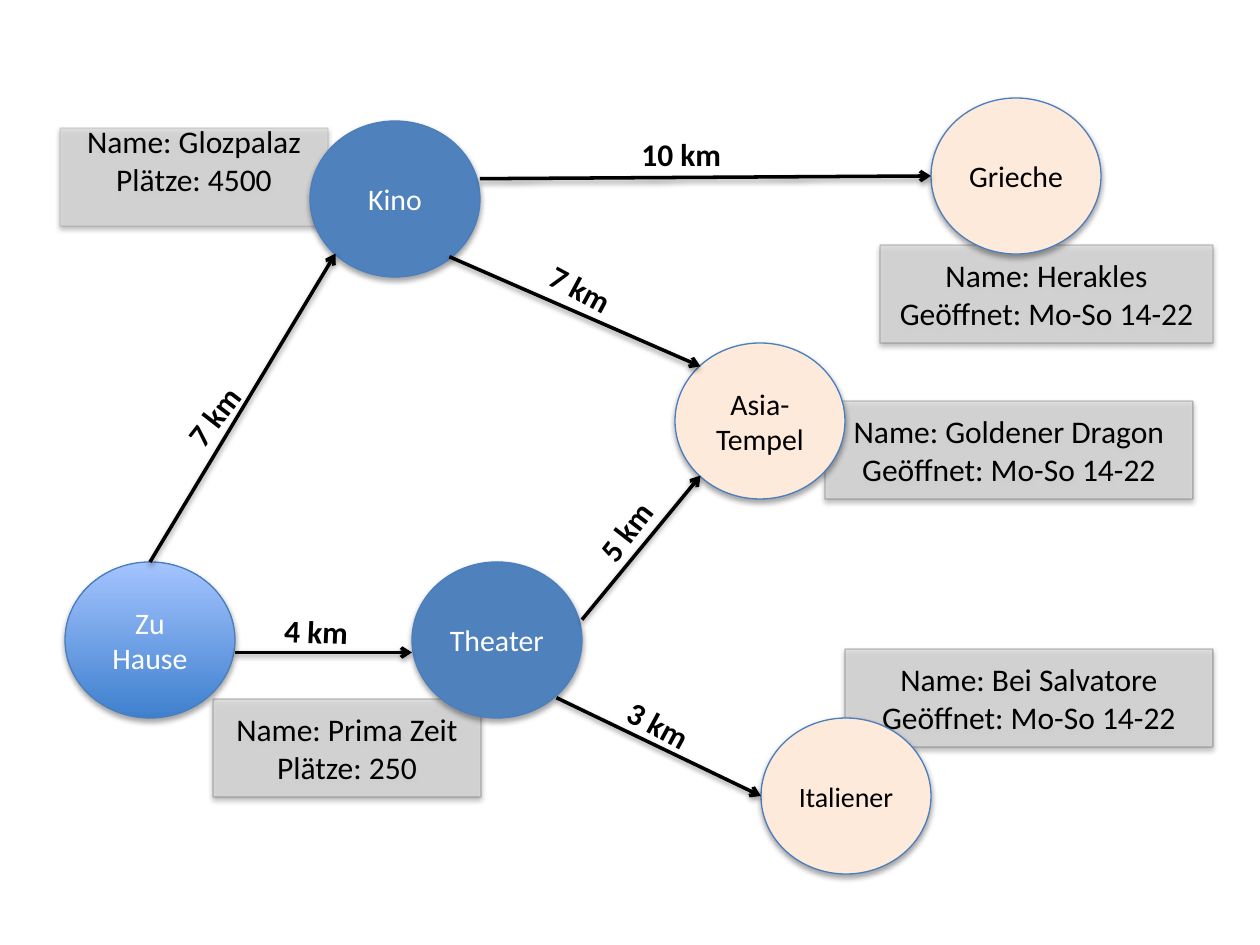
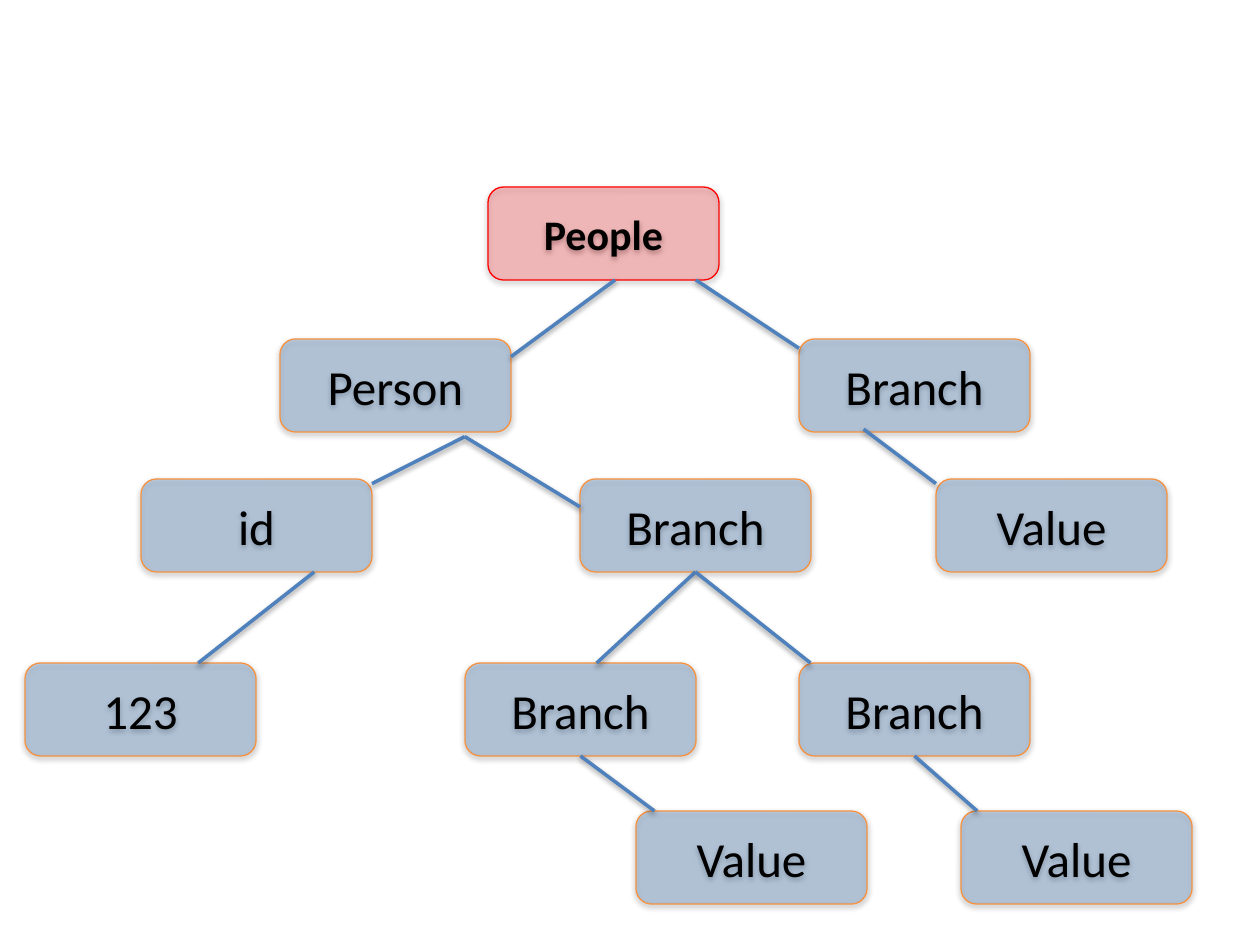
from dataclasses import dataclass

from lxml.etree import SubElement
from pptx import Presentation
from pptx.dml.color import RGBColor
from pptx.enum.shapes import MSO_CONNECTOR as Connector, MSO_SHAPE as Shape
from pptx.enum.text import MSO_ANCHOR as Anchor, PP_ALIGN as Align
from pptx.oxml.ns import qn
from pptx.util import Emu, Pt

PIXEL = 914400 / 126


@dataclass(frozen=True)
class Theme:
    font: str = "Calibri"
    black: str = "000000"
    white: str = "FFFFFF"
    blue: str = "4F81BD"
    blue_edge: str = "4B7EBC"
    home_bottom: str = "3F80CE"
    home_top: str = "A4C4FF"
    cream: str = "FDEADA"
    gray: str = "D9D9D9"
    red: str = "FF0000"
    orange: str = "F69240"
    small_size: float = 16
    place_size: float = 17
    card_size: float = 18
    root_size: float = 24
    node_size: float = 28
    edge_width: float = 0.75
    line_width: float = 2


THEME = Theme()
SOFT_SHADOW = (35, 23000)
CLOSE_SHADOW = (38, 20000)


# Shared helpers
def px(length):
    return Emu(round(length * PIXEL))


def color(value):
    return RGBColor.from_string(value)


def set_alpha(fill_parent, percent):
    tint = fill_parent.find(qn("a:solidFill")).find(qn("a:srgbClr"))
    SubElement(tint, qn("a:alpha"), val=str(percent * 1000))


def add_shadow(shape, style):
    """Put a soft shadow below a shape or connector."""
    opacity, distance = style
    properties = shape.element.spPr
    effects = properties.find(qn("a:effectLst"))
    if effects is None:
        effects = SubElement(properties, qn("a:effectLst"))
    shadow = SubElement(effects, qn("a:outerShdw"), blurRad="40000",
                        dist=str(distance), dir="5400000", rotWithShape="0")
    tint = SubElement(shadow, qn("a:srgbClr"), val=THEME.black)
    SubElement(tint, qn("a:alpha"), val=str(opacity * 1000))


def write(shape, text, size, text_color=THEME.black, bold=False, align=Align.CENTER):
    frame = shape.text_frame
    frame.word_wrap = True
    for index, line in enumerate(text.split("\n")):
        paragraph = frame.paragraphs[0] if index == 0 else frame.add_paragraph()
        paragraph.alignment = align
        run = paragraph.add_run()
        run.text = line
        run.font.name = THEME.font
        run.font.size = Pt(size)
        run.font.bold = bold
        run.font.color.rgb = color(text_color)


def add_box(slide, kind, box, fill, edge, shadow, fill_alpha=100, edge_alpha=100):
    shape = slide.shapes.add_shape(kind, *map(px, box))
    shape.shadow.inherit = False
    shape.fill.solid()
    shape.fill.fore_color.rgb = color(fill)
    shape.line.color.rgb = color(edge)
    shape.line.width = Pt(THEME.edge_width)
    properties = shape.element.spPr
    if fill_alpha < 100:
        set_alpha(properties, fill_alpha)
    if edge_alpha < 100:
        set_alpha(properties.find(qn("a:ln")), edge_alpha)
    add_shadow(shape, shadow)
    shape.text_frame.vertical_anchor = Anchor.MIDDLE
    return shape


def point_on(box, across, down):
    """Point at a fraction of a box's width and height."""
    left, top, width, height = box
    return left + across * width, top + down * height


def add_line(slide, start, end, line_color, arrow=False):
    connector = slide.shapes.add_connector(
        Connector.STRAIGHT, *map(px, (*start, *end)))
    connector.line.color.rgb = color(line_color)
    connector.line.width = Pt(THEME.line_width)
    if arrow:
        SubElement(connector.line._get_or_add_ln(), qn("a:tailEnd"), type="arrow")
    add_shadow(connector, CLOSE_SHADOW)


# Route map: left, top, width and text of each card
CARD_HEIGHT = 98
CARDS = [
    (820, 147, 333, "Name: Herakles\nGeöffnet: Mo-So 14-22", 20),
    (785, 551, 368, "Name: Bei Salvatore\nGeöffnet: Mo-So 14-22", 22),
    (765, 303, 368, "Name: Goldener Dragon\nGeöffnet: Mo-So 14-22", 20),
    (153, 601, 268, "Name: Prima Zeit\nPlätze: 250", 22),
    (0, 30, 268, "Name: Glozpalaz\nPlätze: 4500", 10),
]
RAISED_CARD = CARDS[-1]

PLACE_SIZE = (170, 156)
PLACES = {
    "home": (5, 464, "Zu\nHause", THEME.blue, THEME.white),
    "cinema": (250, 23, "Kino", THEME.blue, THEME.white),
    "theater": (352, 464, "Theater", THEME.blue, THEME.white),
    "greek": (871, 0, "Grieche", THEME.cream, THEME.black),
    "asian": (615, 245, "Asia-\nTempel", THEME.cream, THEME.black),
    "italian": (701, 620, "Italiener", THEME.cream, THEME.black),
}

# Contact points on an ellipse
NEAR, FAR = 0.15, 0.85
ROUTES = [
    ("home", (0.5, 0), "cinema", (NEAR, FAR), "7 km", (108, 291), 307.8),
    ("home", (1, 0.58), "theater", (0, 0.58), "4 km", (212, 508), 2.6),
    ("theater", (FAR, 0.87), "italian", (0, 0.5), "3 km", (554, 603), 28.4),
    ("theater", (1, 0.37), "asian", (NEAR, FAR), "5 km", (520, 406), 307.8),
    ("cinema", (0.82, 0.87), "asian", (NEAR, NEAR), "7 km", (476, 167), 28.2),
    ("cinema", (1, 0.37), "greek", (0, 0.5), "10 km", (569, 31), 0),
]


def add_card(slide, left, top, card):
    x, y, width, text, edge_alpha = card
    shape = add_box(slide, Shape.RECTANGLE, (left + x, top + y, width, CARD_HEIGHT),
                    THEME.gray, THEME.black, SOFT_SHADOW, 75, edge_alpha)
    if card is RAISED_CARD:
        shape.text_frame.margin_bottom = px(40)
    write(shape, text, THEME.card_size)


def add_place(slide, name, box):
    _, _, text, fill, text_color = PLACES[name]
    shape = add_box(slide, Shape.OVAL, box, fill, THEME.blue_edge, SOFT_SHADOW)
    if name == "home":
        shape.fill.gradient()
        shape.fill.gradient_angle = 90
        shades = (THEME.home_bottom, THEME.home_top)
        for stop, shade in zip(shape.fill.gradient_stops, shades):
            stop.color.rgb = color(shade)
    shape.text_frame.margin_left = shape.text_frame.margin_right = 0
    size = THEME.small_size if name == "italian" else THEME.place_size
    write(shape, text, size, text_color)


def add_distance(slide, left, top, text, turn):
    width = 132 if len(text) > 4 else 94
    label = slide.shapes.add_textbox(*map(px, (left, top, width, 50)))
    label.rotation = turn
    label.text_frame.margin_right = 0
    write(label, text, THEME.card_size, bold=True, align=Align.LEFT)


def add_route_map(slide, left, top):
    for card in CARDS:
        add_card(slide, left, top, card)
    boxes = {name: (left + place[0], top + place[1], *PLACE_SIZE)
             for name, place in PLACES.items()}
    for name, box in boxes.items():
        add_place(slide, name, box)
    for start, leave, end, arrive, *_ in ROUTES:
        add_line(slide, point_on(boxes[start], *leave),
                 point_on(boxes[end], *arrive), THEME.black, arrow=True)
    for *_, text, (x, y), turn in ROUTES:
        add_distance(slide, left + x, top + y, text, turn)


# Tree: text, left edge and level of each node
NODE_SIZE = (231, 93)
LEVEL_TOPS = (0, 152, 292, 476, 624)
NODES = {
    "root": ("People", 463, 0),
    "id": ("id", 116, 2),
    "person": ("Person", 255, 1),
    "number": ("123", 0, 3),
    "middle": ("Branch", 555, 2),
    "middle value": ("Value", 611, 4),
    "lower left": ("Branch", 440, 3),
    "right": ("Branch", 774, 1),
    "right value": ("Value", 911, 2),
    "lower right": ("Branch", 774, 3),
    "lower value": ("Value", 936, 4),
}
LINKS = [
    ("id", (0.75, 1), "number", (0.75, 0)),
    ("person", (0.8, 1.05), "id", (1, 0.05)),
    ("person", (0.8, 1.05), "middle", (0, 0.3)),
    ("root", (0.55, 1), "person", (1, 0.19)),
    ("root", (0.9, 1), "right", (0, 0.1)),
    ("right", (0.28, 0.97), "right value", (0, 0.05)),
    ("middle", (0.5, 1), "lower left", (0.57, 0)),
    ("middle", (0.5, 1), "lower right", (0.05, 0)),
    ("lower left", (0.5, 1), "middle value", (0.08, 0)),
    ("lower right", (0.5, 1), "lower value", (0.07, 0)),
]


def add_node(slide, name, box):
    is_root = name == "root"
    fill, edge, alpha, size = (
        (THEME.red, THEME.red, 22, THEME.root_size) if is_root
        else (THEME.blue, THEME.orange, 32, THEME.node_size))
    shape = add_box(slide, Shape.ROUNDED_RECTANGLE, box, fill, edge, CLOSE_SHADOW, alpha)
    write(shape, NODES[name][0], size, bold=is_root)


def add_tree(slide, left, top):
    boxes = {name: (left + x, top + LEVEL_TOPS[level], *NODE_SIZE)
             for name, (_, x, level) in NODES.items()}
    for name, box in boxes.items():
        add_node(slide, name, box)
    for parent, leave, child, arrive in LINKS:
        add_line(slide, point_on(boxes[parent], *leave),
                 point_on(boxes[child], *arrive), THEME.blue)


# Slides
presentation = Presentation()
presentation.slide_width, presentation.slide_height = px(1260), px(945)
blank = presentation.slide_layouts[6]
add_route_map(presentation.slides.add_slide(blank), 60, 98)
add_tree(presentation.slides.add_slide(blank), 25, 187)
presentation.save("out.pptx")
